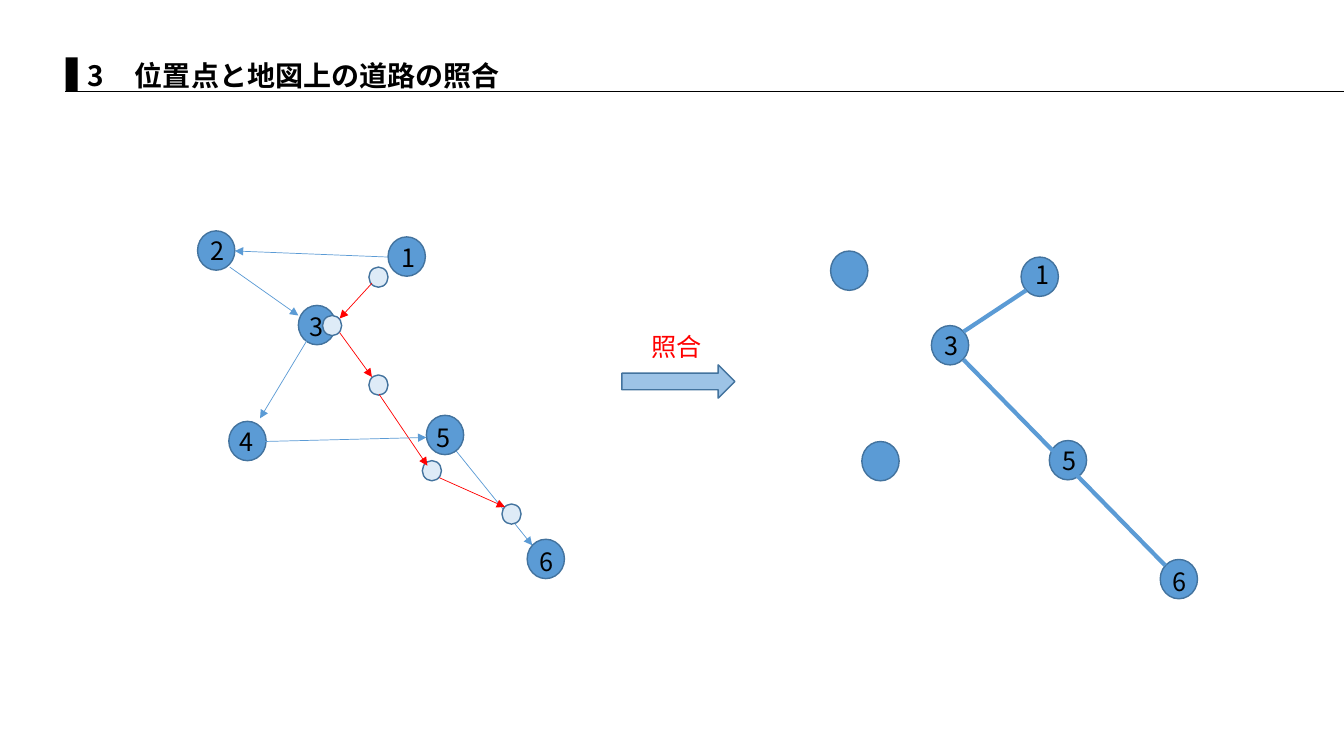
from lxml.etree import SubElement
from pptx import Presentation
from pptx.dml.color import RGBColor
from pptx.enum.shapes import MSO_CONNECTOR as Connector, MSO_SHAPE as Shape
from pptx.enum.text import MSO_AUTO_SIZE as AutoSize
from pptx.oxml.ns import qn
from pptx.util import Inches, Pt

BLACK = RGBColor(0x00, 0x00, 0x00)
RED = RGBColor(0xFF, 0x00, 0x00)
BLUE = RGBColor(0x5B, 0x9B, 0xD5)
DARK_BLUE = RGBColor(0x43, 0x73, 0x9E)
MID_BLUE = RGBColor(0x9D, 0xC3, 0xE6)
PALE_BLUE = RGBColor(0xDE, 0xEB, 0xF7)

COLUMNS, ROWS = 133.33, 75
NODE_SIZE = (3.7, 3.9)
POINT_SIZE = (1.9, 2)
LABEL_SIZE = (3.4, 4)

# Left, top of each node of the road map, by number
ROAD_NODES = {
    "2": (19.6, 22.9), "3": (29.6, 30.3), "4": (22.7, 41.8),
    "6": (52.3, 53.5), "5": (42.3, 41.2), "1": (38.5, 23.5),
}
GPS_POINTS = [(32, 31.3), (36.6, 26.5), (36.6, 37.2), (41.9, 45.7), (49.8, 50)]

# The matched map is the road map moved sideways; node 5 sits apart
MATCH_SHIFT = (62.8, 2)
MATCHED_NODES = {
    number: (left + MATCH_SHIFT[0], top + MATCH_SHIFT[1])
    for number, (left, top) in ROAD_NODES.items()
} | {"5": (104.1, 43.7)}

# Offset of each number from the corner of its node
ROAD_LABELS = {
    "1": (0.3, 0), "2": (0.3, 0), "3": (0.1, 0.1),
    "5": (0, 0.2), "6": (0.2, 0.2), "4": (0.1, 0),
}
MATCHED_LABELS = {"1": (0.4, -0.3), "3": (0.3, 0), "6": (0.2, 0.2), "5": (0.3, 0)}

MATCHED_ROADS = [
    ((101.8, 28.8), (95.6, 32.9)),
    ((95.6, 35.7), (115.6, 56.1)),
]
GPS_ARROWS = [
    ((36.9, 28.1), (33.7, 31.6)),
    ((33.7, 33), (36.9, 37.4)),
    ((37.6, 39.1), (42.4, 46.2)),
    ((43.6, 47.4), (50.1, 50.3)),
]
LAST_ROAD_ARROW = ((44.5, 43.8), (52.8, 54.1))
ROAD_ARROWS = [
    ((38.5, 25.5), (23.3, 24.9)),
    ((22.8, 26.5), (29.6, 31.3)),
    ((30.8, 33.2), (25.8, 41.5)),
    ((26.2, 43.8), (42.3, 43.4)),
]


class SlideBuilder:
    """Draws on one slide; lengths are columns and rows of its grid."""

    font_name = "Noto Sans CJK JP"
    label_format = {"size": Pt(18), "bold": False}
    title_format = {"size": Pt(20), "bold": True}

    def __init__(self, presentation):
        self.column = presentation.slide_width / COLUMNS
        self.row = presentation.slide_height / ROWS
        self.slide = presentation.slides.add_slide(presentation.slide_layouts[6])

    def place(self, columns, rows):
        return round(columns * self.column), round(rows * self.row)

    def shape(self, kind, position, size, fill, outline=None):
        shape = self.slide.shapes.add_shape(
            kind, *self.place(*position), *self.place(*size))
        shape.shadow.inherit = False
        shape.fill.solid()
        shape.fill.fore_color.rgb = fill
        if outline is None:
            shape.line.fill.background()
        else:
            shape.line.color.rgb = outline
            shape.line.width = Pt(1)

    def circles(self, positions, size, fill):
        for position in positions:
            self.shape(Shape.OVAL, position, size, fill, DARK_BLUE)

    def line(self, start, end, color, width=0.5, arrow=False):
        connector = self.slide.shapes.add_connector(
            Connector.STRAIGHT, *self.place(*start), *self.place(*end))
        connector.line.color.rgb = color
        connector.line.width = Pt(width)
        properties = connector._element.spPr
        if arrow:
            SubElement(properties.find(qn("a:ln")), qn("a:tailEnd"), type="triangle")
        SubElement(properties, qn("a:effectLst"))

    def text(self, text, position, size, color=BLACK, text_format=None,
             wrap=False, tab=None):
        box = self.slide.shapes.add_textbox(
            *self.place(*position), *self.place(*size))
        frame = box.text_frame
        frame.word_wrap = wrap
        frame.auto_size = AutoSize.SHAPE_TO_FIT_TEXT
        paragraph = frame.paragraphs[0]
        if tab is not None:
            tabs = SubElement(paragraph._p.get_or_add_pPr(), qn("a:tabLst"))
            SubElement(tabs, qn("a:tab"), pos=str(round(tab * self.column)), algn="l")
        run = paragraph.add_run()
        run.text = text
        for name, value in (text_format or self.label_format).items():
            setattr(run.font, name, value)
        run.font.color.rgb = color
        run.font.name = self.font_name
        SubElement(run._r.get_or_add_rPr(), qn("a:ea"), typeface=self.font_name)

    def title(self, text):
        self.line((6.5, 9.1), (COLUMNS, 9.1), BLACK)
        self.text(text, (7.7, 5.3), (125.6, 4.4), text_format=self.title_format,
                  wrap=True, tab=4.7)
        self.shape(Shape.RECTANGLE, (6.5, 5.7), (1.2, 3.4), BLACK)

    def numbers(self, nodes, offsets):
        for number, (right, down) in offsets.items():
            left, top = nodes[number]
            self.text(number, (left + right, top + down), LABEL_SIZE)


def main():
    presentation = Presentation()
    presentation.slide_width = Inches(13.33)
    presentation.slide_height = Inches(7.5)
    builder = SlideBuilder(presentation)

    builder.line(*LAST_ROAD_ARROW, BLUE, arrow=True)
    builder.title("3\t位置点と地図上の道路の照合")
    builder.circles(ROAD_NODES.values(), NODE_SIZE, BLUE)
    builder.circles(GPS_POINTS, POINT_SIZE, PALE_BLUE)
    builder.circles(MATCHED_NODES.values(), NODE_SIZE, BLUE)
    for start, end in MATCHED_ROADS:
        builder.line(start, end, BLUE, width=3)
    builder.numbers(ROAD_NODES, ROAD_LABELS)
    builder.numbers(MATCHED_NODES, MATCHED_LABELS)
    for arrows, color in ((GPS_ARROWS, RED), (ROAD_ARROWS, BLUE)):
        for start, end in arrows:
            builder.line(start, end, color, arrow=True)
    builder.shape(Shape.RIGHT_ARROW, (61.7, 36.2), (11.2, 3.3), MID_BLUE, DARK_BLUE)
    builder.text("照合", (63.6, 32.4), (7.1, 4), RED)

    presentation.save("out.pptx")


if __name__ == "__main__":
    main()
